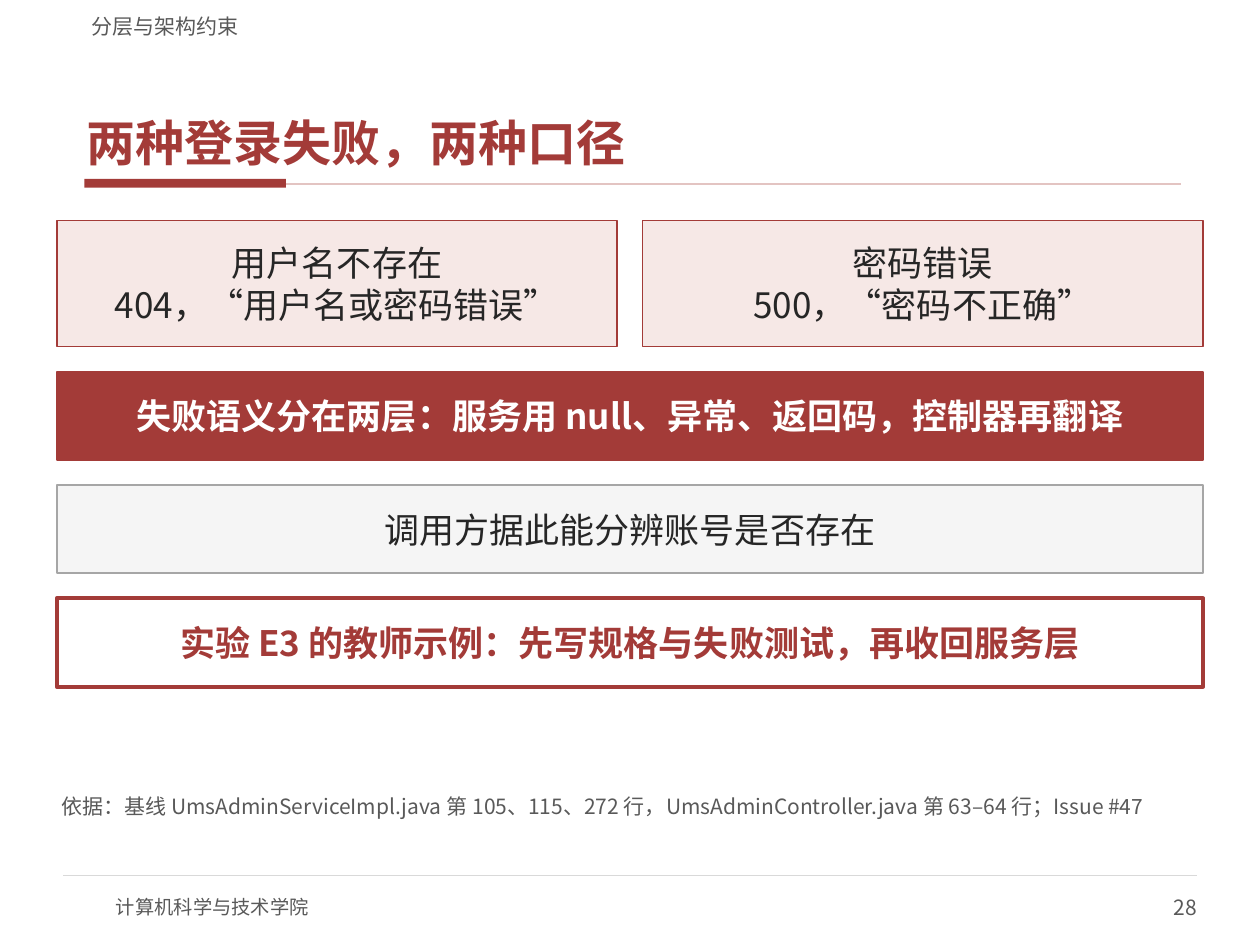
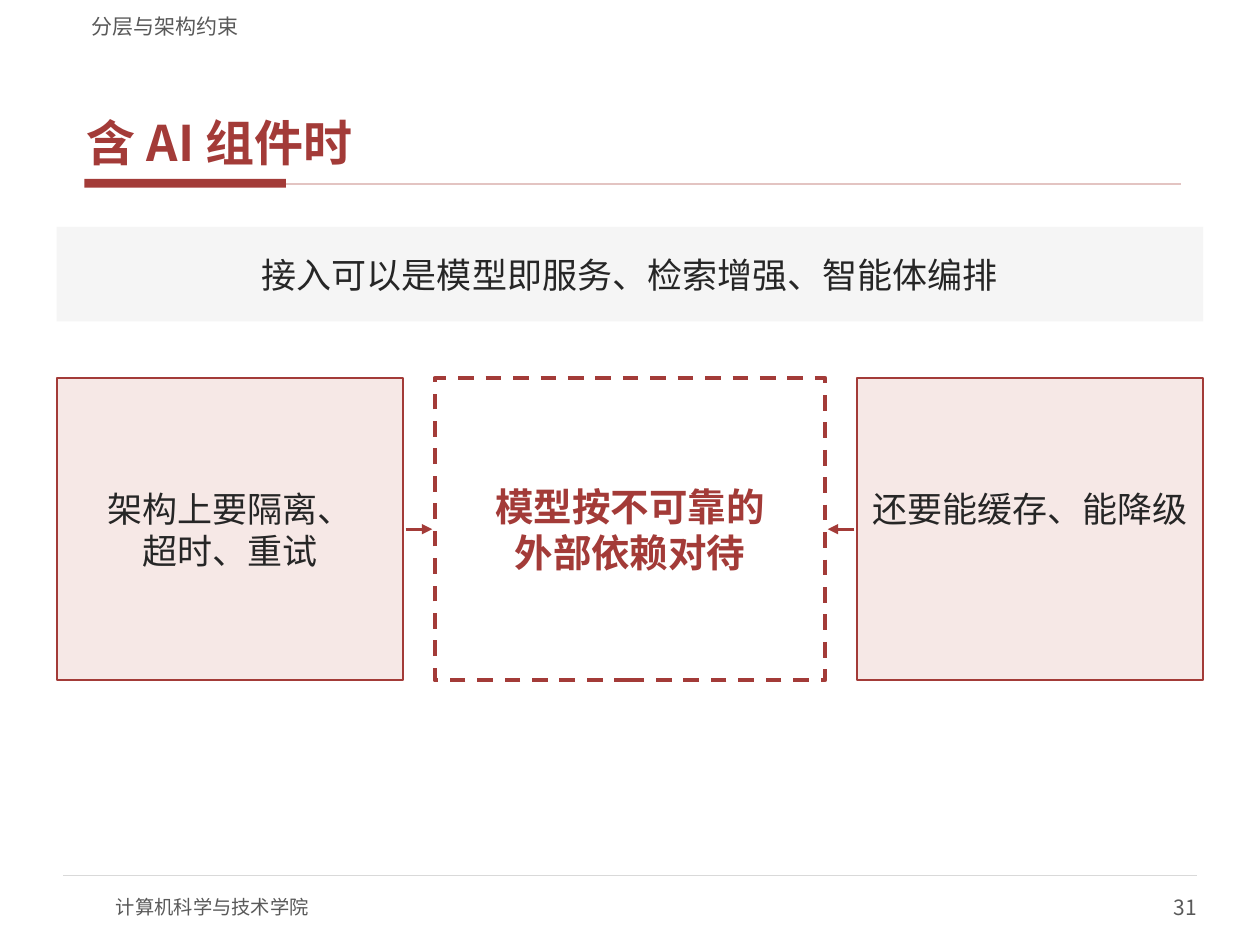
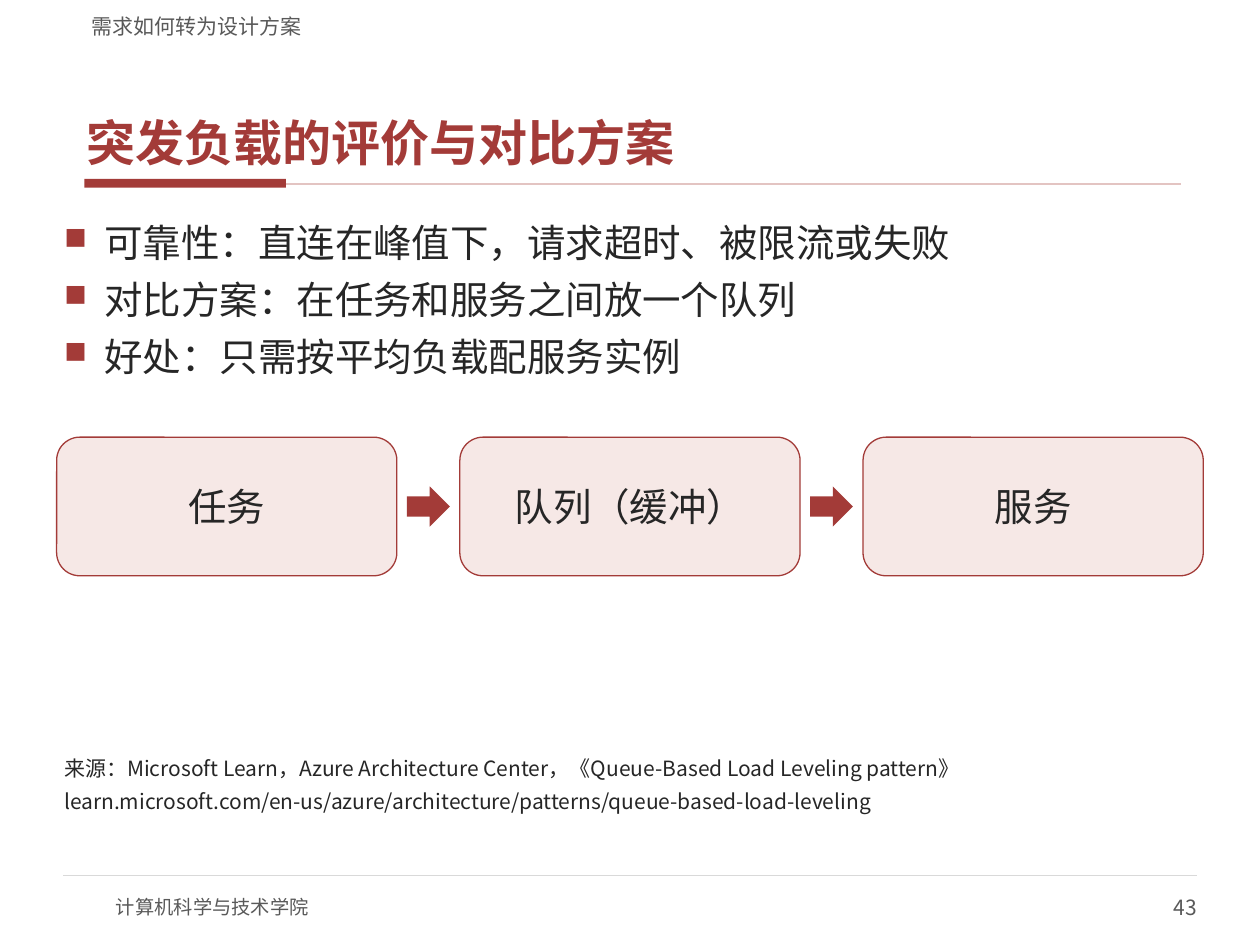
import pptx
import pptx.util
from lxml import etree
from pptx.dml.color import RGBColor
from pptx.enum.dml import MSO_LINE
from pptx.enum.shapes import MSO_CONNECTOR, MSO_SHAPE
from pptx.enum.text import MSO_ANCHOR, PP_ALIGN
from pptx.oxml.ns import qn
from pptx.util import Inches, Pt

FONT = "Noto Sans CJK SC"
RED = RGBColor(0xA3, 0x3B, 0x38)
PINK = RGBColor(0xF6, 0xE8, 0xE6)
ROSE = RGBColor(0xE3, 0xC4, 0xC2)
WHITE = RGBColor(0xFF, 0xFF, 0xFF)
PALE = RGBColor(0xF5, 0xF5, 0xF5)
RULE = RGBColor(0xD9, 0xD9, 0xD9)
SILVER = RGBColor(0xA6, 0xA6, 0xA6)
GRAY = RGBColor(0x59, 0x59, 0x59)
INK = RGBColor(0x26, 0x26, 0x26)

LEFT, WIDTH = 0.45, 9.1
BOX_INSETS = (0.08, 0.04, 0.08, 0.04)
TEXT_INSETS = (0.06, 0.02, 0.06, 0.02)


def add_bullet(paragraph):
    """Give a paragraph a hanging red square."""
    props = paragraph._p.get_or_add_pPr()
    props.set("marL", str(Inches(0.32)))
    props.set("indent", str(-Inches(0.32)))
    color = etree.SubElement(props, qn("a:buClr"))
    etree.SubElement(color, qn("a:srgbClr"), val=str(RED))
    etree.SubElement(props, qn("a:buSzPct"), val="80000")
    etree.SubElement(props, qn("a:buChar"), char="■")


def add_run(paragraph, text, size, color, bold):
    run = paragraph.add_run()
    run.text = text
    run.font.size = Pt(size)
    run.font.bold = bold
    run.font.color.rgb = color
    run.font.name = FONT
    etree.SubElement(run._r.get_or_add_rPr(), qn("a:ea"), typeface=FONT)


def write(shape, paragraphs, size, color=INK, bold=False, align=PP_ALIGN.LEFT,
          anchor=MSO_ANCHOR.MIDDLE, insets=BOX_INSETS, before=0, after=0,
          bullets=False):
    """Fill a shape with paragraphs; a newline in one becomes a line break."""
    frame = shape.text_frame
    frame.word_wrap = True
    frame.vertical_anchor = anchor
    (frame.margin_left, frame.margin_top,
     frame.margin_right, frame.margin_bottom) = map(Inches, insets)
    for index, text in enumerate(paragraphs):
        paragraph = frame.add_paragraph() if index else frame.paragraphs[0]
        if bullets:
            add_bullet(paragraph)
        paragraph.alignment = align
        paragraph.space_before = Pt(before if index else 0)
        paragraph.space_after = Pt(after)
        for number, line in enumerate(text.split("\n")):
            if number:
                paragraph.add_line_break()
            add_run(paragraph, line, size, color, bold)


def add_text(slide, at, paragraphs, size, **style):
    write(slide.shapes.add_textbox(*map(Inches, at)), paragraphs, size, **style)


def add_block(slide, at, fill, line=None, line_width=1.0, dashed=False,
              kind=MSO_SHAPE.RECTANGLE):
    block = slide.shapes.add_shape(kind, *map(Inches, at))
    block.shadow.inherit = False
    block.fill.solid()
    block.fill.fore_color.rgb = fill
    if line is None:
        block.line.fill.background()
    else:
        block.line.color.rgb = line
        block.line.width = Pt(line_width)
        if dashed:
            block.line.dash_style = MSO_LINE.DASH
    return block


def add_card(slide, at, paragraphs, fill, line=None, size=20, color=INK,
             bold=False, insets=BOX_INSETS, **outline):
    card = add_block(slide, at, fill, line, **outline)
    write(card, paragraphs, size, color=color, bold=bold,
          align=PP_ALIGN.CENTER, insets=insets)


def add_line(slide, start_x, end_x, y, color, width, arrow=False):
    line = slide.shapes.add_connector(
        MSO_CONNECTOR.STRAIGHT, Inches(start_x), Inches(y), Inches(end_x), Inches(y))
    line.line.color.rgb = color
    line.line.width = Pt(width)
    if arrow:
        etree.SubElement(line.line._get_or_add_ln(), qn("a:tailEnd"), type="triangle")
    etree.SubElement(line._element.spPr, qn("a:effectLst"))


def add_page(deck, section, title, number):
    """Add a slide with the section label, title band and footer."""
    slide = deck.slides.add_slide(deck.slide_layouts[6])
    add_block(slide, (0.67, 1.42, 1.6, 0.07), RED)
    add_line(slide, 2.27, 9.37, 1.46, ROSE, 1)
    add_line(slide, 0.5, 9.5, 6.95, RULE, 0.75)
    flush = (0, 0, 0, 0)
    add_text(slide, (0.92, 7, 4, 0.4), ["计算机科学与技术学院"], 11,
             color=GRAY, insets=flush)
    add_text(slide, (7.5, 7, 2, 0.4), [str(number)], 12, color=GRAY,
             align=PP_ALIGN.RIGHT, insets=flush)
    add_text(slide, (0.63, 0.33, 8.75, 1.05), [title], 28, color=RED, bold=True,
             anchor=MSO_ANCHOR.BOTTOM, insets=TEXT_INSETS, after=2)
    add_text(slide, (0.63, 0.04, 8.75, 0.27), [section], 12, color=GRAY,
             anchor=MSO_ANCHOR.BOTTOM, insets=(0.1, 0, 0.1, 0))
    return slide


def build_login_failures(deck):
    slide = add_page(deck, "分层与架构约束", "两种登录失败，两种口径", 28)
    gap = 0.2
    case_width = (WIDTH - gap) / 2
    cases = [("用户名不存在", "404，“用户名或密码错误”"),
             ("密码错误", "500，“密码不正确”")]
    for index, case in enumerate(cases):
        left = LEFT + index * (case_width + gap)
        add_card(slide, (left, 1.75, case_width, 1), case, PINK, RED)

    bar_height = 0.7
    bars = [
        ("失败语义分在两层：服务用 null、异常、返回码，控制器再翻译",
         dict(fill=RED, line=RED, color=WHITE, bold=True)),
        ("调用方据此能分辨账号是否存在", dict(fill=PALE, line=SILVER)),
        ("实验 E3 的教师示例：先写规格与失败测试，再收回服务层",
         dict(fill=WHITE, line=RED, line_width=2.25, color=RED, bold=True)),
    ]
    for index, (text, style) in enumerate(bars):
        top = 2.95 + index * (bar_height + gap)
        add_card(slide, (LEFT, top, WIDTH, bar_height), [text], **style)

    evidence = ("依据：基线 UmsAdminServiceImpl.java 第 105、115、272 行，"
                "UmsAdminController.java 第 63–64 行；Issue #47")
    add_text(slide, (LEFT, 6.3, WIDTH, 0.22), [evidence], 12, color=GRAY,
             anchor=MSO_ANCHOR.BOTTOM, insets=(0.04, 0.02, 0.04, 0.02))


def build_ai_component(deck):
    slide = add_page(deck, "分层与架构约束", "含 AI 组件时", 31)
    add_card(slide, (LEFT, 1.8, WIDTH, 0.75),
             ["接入可以是模型即服务、检索增强、智能体编排"], PALE)

    top, height = 3, 2.4
    side_width, gap, clearance = 2.75, 0.25, 0.02
    model_left = LEFT + side_width + gap
    model_width = WIDTH - 2 * (side_width + gap)
    model_right = model_left + model_width
    add_card(slide, (model_left, top, model_width, height),
             ["模型按不可靠的\n外部依赖对待"], WHITE, RED, size=22, color=RED,
             bold=True, line_width=2.25, dashed=True)
    add_card(slide, (LEFT, top, side_width, height),
             ["架构上要隔离、\n超时、重试"], PINK, RED)
    # The deeper bottom inset aligns this single line with its neighbour's first.
    add_card(slide, (model_right + gap, top, side_width, height),
             ["还要能缓存、能降级"], PINK, RED, insets=(0.08, 0.04, 0.08, 0.37))
    for edge, outward in ((model_left, -1), (model_right, 1)):
        add_line(slide, edge + outward * (gap - clearance), edge + outward * clearance,
                 top + height / 2, RED, 1.75, arrow=True)


def build_burst_load(deck):
    slide = add_page(deck, "需求如何转为设计方案", "突发负载的评价与对比方案", 43)
    points = ["可靠性：直连在峰值下，请求超时、被限流或失败",
              "对比方案：在任务和服务之间放一个队列",
              "好处：只需按平均负载配服务实例"]
    add_text(slide, (LEFT, 1.72, WIDTH, 1.5), points, 22, anchor=MSO_ANCHOR.TOP,
             insets=TEXT_INSETS, before=4, after=2, bullets=True)

    stages = ["任务", "队列（缓冲）", "服务"]
    top, height, gap = 3.47, 1.1, 0.5
    arrow_width, arrow_height = 0.34, 0.32
    stage_width = (WIDTH - gap * (len(stages) - 1)) / len(stages)
    for index, stage in enumerate(stages):
        left = LEFT + index * (stage_width + gap)
        if index:
            add_block(slide, (left - (gap + arrow_width) / 2,
                              top + (height - arrow_height) / 2,
                              arrow_width, arrow_height),
                      RED, kind=MSO_SHAPE.RIGHT_ARROW)
        add_card(slide, (left, top, stage_width, height), [stage], PINK, RED, size=22,
                 insets=TEXT_INSETS, line_width=0.75, kind=MSO_SHAPE.ROUNDED_RECTANGLE)

    source = [
        "来源：Microsoft Learn，Azure Architecture Center，"
        "《Queue-Based Load Leveling pattern》",
        "learn.microsoft.com/en-us/azure/architecture/patterns/queue-based-load-leveling",
    ]
    add_text(slide, (LEFT, 5.98, WIDTH, 0.5), source, 12, anchor=MSO_ANCHOR.TOP,
             insets=TEXT_INSETS, before=2, after=2)


def main():
    deck = pptx.Presentation()
    deck.slide_width, deck.slide_height = Inches(10), Inches(7.5)
    build_login_failures(deck)
    build_ai_component(deck)
    build_burst_load(deck)
    deck.save("out.pptx")


if __name__ == "__main__":
    main()
